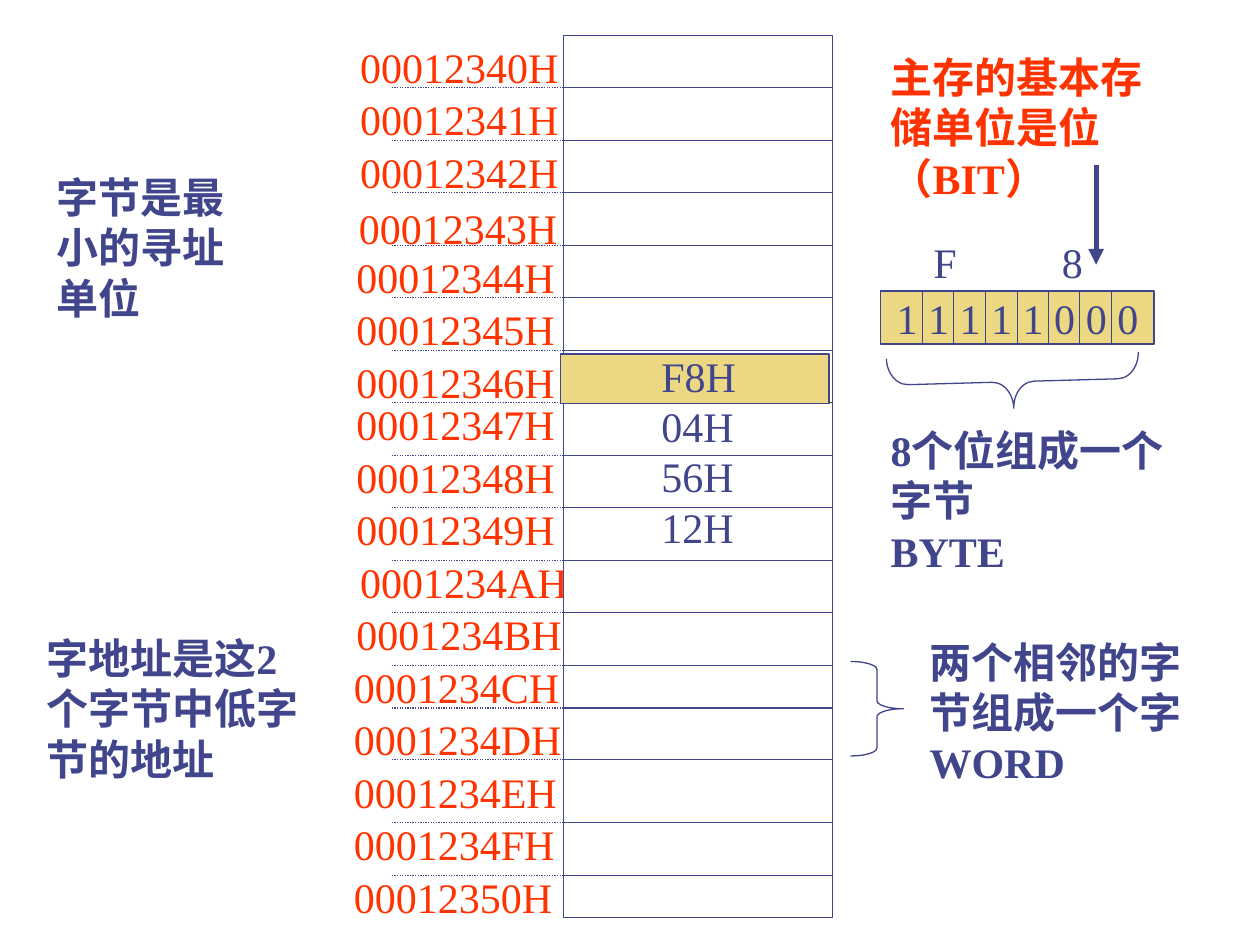
from dataclasses import dataclass

from lxml.etree import SubElement
from pptx import Presentation
from pptx.dml.color import RGBColor
from pptx.enum.dml import MSO_LINE
from pptx.enum.shapes import MSO_CONNECTOR, MSO_SHAPE
from pptx.enum.text import MSO_ANCHOR, PP_ALIGN
from pptx.oxml.ns import qn
from pptx.shapes.autoshape import Shape
from pptx.shapes.connector import Connector
from pptx.slide import Slide
from pptx.util import Inches, Pt

NAVY = RGBColor(0x40, 0x45, 0x8C)
ORANGE = RGBColor(0xFF, 0x33, 0x00)
GOLD = RGBColor(0xEC, 0xD8, 0x82)
WHITE = RGBColor(0xFF, 0xFF, 0xFF)
FONT_FORMAT = {"name": "Times New Roman", "size": Pt(24)}
ROW_STEP = 5 / 12
MEMORY_LEFT, MEMORY_TOP, MEMORY_WIDTH, MEMORY_HEIGHT = 4.47, 0.28, 2.14, 7
GUIDE_LEFT = 3.11
BYTE_LEFT, BYTE_TOP, BYTE_WIDTH, BYTE_HEIGHT = 6.99, 2.31, 2.17, 0.42


@dataclass
class Label:
    text: str
    left: float
    top: float
    width: float
    height: float = 0.5
    color: RGBColor = NAVY
    bold: bool = False


@dataclass
class Brace:
    left: float
    top: float
    width: float
    height: float
    corner: float
    rotation: float = 0


def format_text(target: Shape, color: RGBColor, bold: bool = False) -> None:
    for paragraph in target.text_frame.paragraphs:
        for attribute, value in {**FONT_FORMAT, "bold": bold}.items():
            setattr(paragraph.font, attribute, value)
        paragraph.font.color.rgb = color


def draw_label(slide: Slide, label: Label) -> None:
    box = slide.shapes.add_textbox(
        Inches(label.left), Inches(label.top), Inches(label.width), Inches(label.height)
    )
    box.text_frame.word_wrap = True
    box.text_frame.text = label.text
    format_text(box, label.color, label.bold)


def draw_rectangle(
    slide: Slide, left: float, top: float, width: float, height: float, fill: RGBColor
) -> Shape:
    rectangle = slide.shapes.add_shape(
        MSO_SHAPE.RECTANGLE, Inches(left), Inches(top), Inches(width), Inches(height)
    )
    rectangle.shadow.inherit = False
    rectangle.fill.solid()
    rectangle.fill.fore_color.rgb = fill
    rectangle.line.color.rgb = NAVY
    rectangle.line.width = Pt(0.75)
    return rectangle


def draw_line(
    slide: Slide, x1: float, y1: float, x2: float, y2: float, weight: float = 0.75
) -> Connector:
    connector = slide.shapes.add_connector(
        MSO_CONNECTOR.STRAIGHT, Inches(x1), Inches(y1), Inches(x2), Inches(y2)
    )
    connector.line.color.rgb = NAVY
    connector.line.width = Pt(weight)
    SubElement(connector._element.spPr, qn("a:effectLst"))
    return connector


def draw_brace(slide: Slide, brace: Brace) -> None:
    outline = slide.shapes.add_shape(
        MSO_SHAPE.RIGHT_BRACE,
        Inches(brace.left), Inches(brace.top), Inches(brace.width), Inches(brace.height),
    )
    outline.shadow.inherit = False
    outline.fill.background()
    outline.line.color.rgb = NAVY
    outline.line.width = Pt(0.75)
    outline.adjustments[0] = brace.corner
    outline.rotation = brace.rotation


def draw_memory(slide: Slide) -> None:
    address_lefts = [2.76] * 3 + [2.75] + [2.73] * 6 + [2.76, 2.73] + [2.71] * 5
    shifts = [0] * 3 + [0.03] + [0] * 3 + [-0.08] * 10
    for row, (left, shift) in enumerate(zip(address_lefts, shifts)):
        top = MEMORY_TOP + row * ROW_STEP + shift
        draw_label(slide, Label(f"{0x12340 + row:08X}H", left, top, 1.9, color=ORANGE))

    draw_rectangle(slide, MEMORY_LEFT, MEMORY_TOP, MEMORY_WIDTH, MEMORY_HEIGHT, WHITE)
    boundaries = [MEMORY_TOP + row * ROW_STEP for row in range(1, 13)]
    for y in boundaries + [5.62, 6.03, 6.53, 6.95]:
        draw_line(slide, MEMORY_LEFT, y, MEMORY_LEFT + MEMORY_WIDTH, y)
        guide = draw_line(slide, GUIDE_LEFT, y, MEMORY_LEFT, y)
        guide.line.dash_style = MSO_LINE.ROUND_DOT

    draw_rectangle(slide, 4.45, 2.81, 2.13, 0.39, GOLD)
    draw_label(slide, Label("F8H\n04H\n56H\n12H", 5.15, 2.73, 0.9, 1.7))


def draw_byte(slide: Slide) -> None:
    byte = draw_rectangle(slide, BYTE_LEFT, BYTE_TOP, BYTE_WIDTH, BYTE_HEIGHT, GOLD)
    byte.text_frame.text = "1 1 1 1 1 0 0 0"
    byte.text_frame.word_wrap = False
    byte.text_frame.vertical_anchor = MSO_ANCHOR.MIDDLE
    byte.text_frame.paragraphs[0].alignment = PP_ALIGN.CENTER
    format_text(byte, NAVY)

    for bit in range(7):
        x = 7.32 + bit * 0.25
        divider = draw_line(slide, x, BYTE_TOP, x, BYTE_TOP + BYTE_HEIGHT)
        if bit == 3:
            divider.begin_connect(byte, 0)
            divider.end_connect(byte, 2)

    bit_arrow = draw_line(slide, 8.7, 1.31, 8.7, 2.1, 3)
    SubElement(bit_arrow.line._get_or_add_ln(), qn("a:tailEnd"), type="triangle")


def main() -> None:
    presentation = Presentation()
    presentation.slide_width = Inches(10)
    presentation.slide_height = Inches(7.5)
    slide = presentation.slides.add_slide(presentation.slide_layouts[6])

    draw_memory(slide)
    draw_byte(slide)
    for brace in (
        Brace(6.75, 5.25, 0.42, 0.75, 0.15),
        Brace(7.83, 2.03, 0.42, 2, 0.4, 88.4),
    ):
        draw_brace(slide, brace)
    for label in (
        Label("F", 7.31, 1.83, 0.5),
        Label("8", 8.33, 1.83, 0.4),
        Label("两个相邻的字节组成一个字WORD", 7.28, 5, 2.5, 1.3, bold=True),
        Label("字节是最小的寻址单位", 0.35, 1.31, 1.83, 1.3, bold=True),
        Label("字地址是这2个字节中低字节的地址", 0.27, 4.97, 2.28, 1.3, bold=True),
        Label("8个位组成一个字节\nBYTE", 6.97, 3.32, 2.42, 1.3, bold=True),
        Label("主存的基本存储单位是位（BIT）", 6.97, 0.36, 2.52, 1.3, ORANGE, True),
    ):
        draw_label(slide, label)

    presentation.save("out.pptx")


if __name__ == "__main__":
    main()
